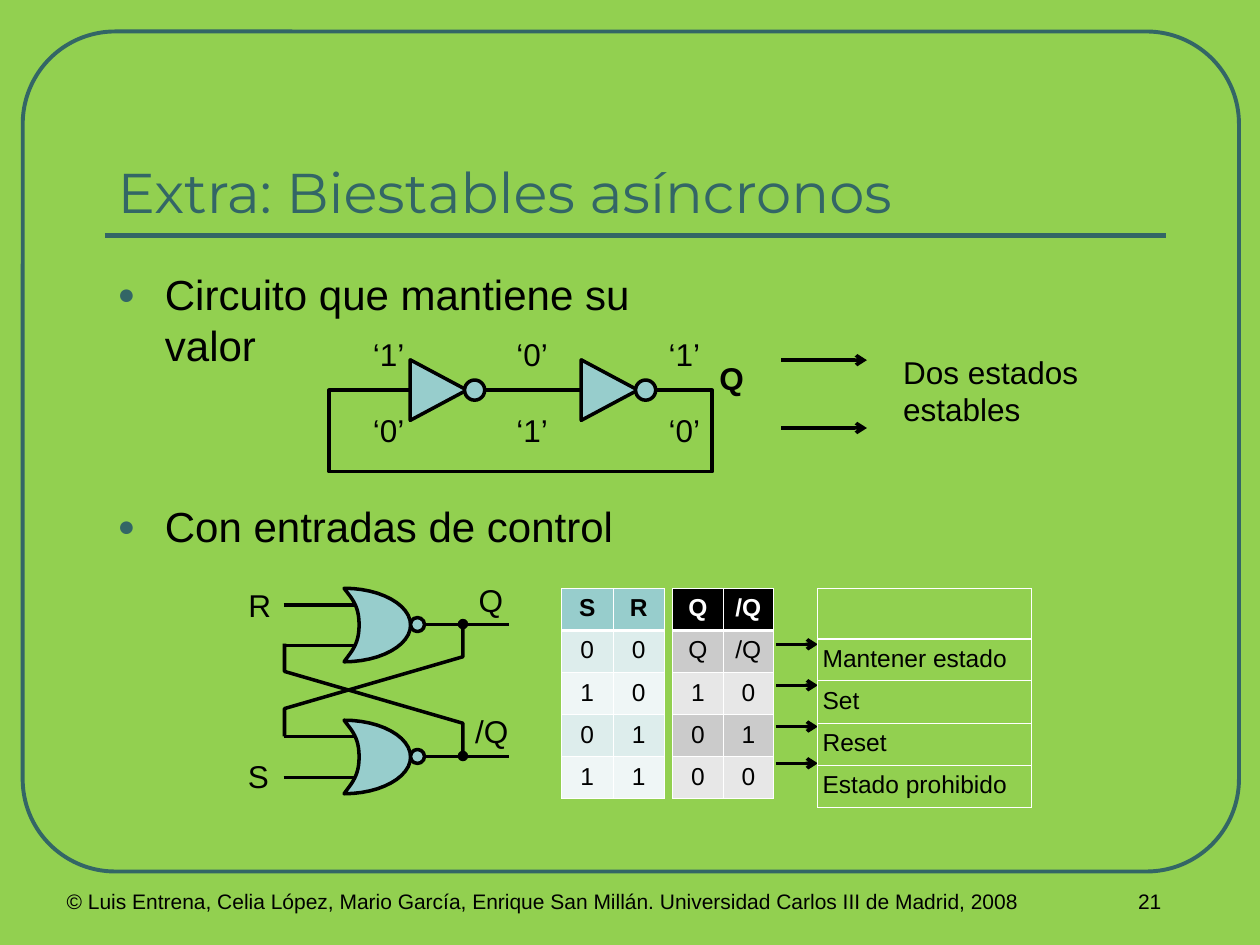
import lxml.etree
import pptx
import pptx.dml.color
import pptx.enum.shapes
import pptx.enum.text
import pptx.oxml.ns
import pptx.util

Pt = pptx.util.Pt
qn = pptx.oxml.ns.qn
ALIGN = pptx.enum.text.PP_ALIGN
SHAPE = pptx.enum.shapes.MSO_SHAPE

COLORS = {
    "back": "92D050", "teal": "336666", "gate": "97CDCC", "ink": "000000",
    "white": "FFFFFF", "input_dark": "DDEDEC", "input_light": "EFF6F6",
    "output_dark": "CBCBCB", "output_light": "E7E7E7",
}


def rgb(name):
    return pptx.dml.color.RGBColor.from_string(COLORS[name])


def add_xml(parent, tag, **attributes):
    return lxml.etree.SubElement(parent, qn(tag), attributes)


def format_spans(para, size, color="ink", bold=False, font="Arial"):
    for span in para.runs:
        span.font.name = font
        span.font.size = Pt(size)
        span.font.bold = bold
        span.font.color.rgb = rgb(color)


def add_label(slide, box, text, size=18, align=ALIGN.LEFT, bold=False, wrap=False):
    frame = slide.shapes.add_textbox(*map(Pt, box)).text_frame
    frame.word_wrap = wrap
    frame.text = text
    for para in frame.paragraphs:
        para.alignment = align
        format_spans(para, size, bold=bold)
    return frame


def style_outline(shape, fill=None, line="ink", width=2):
    shape.shadow.inherit = False
    if fill:
        shape.fill.solid()
        shape.fill.fore_color.rgb = rgb(fill)
    else:
        shape.fill.background()
    shape.line.color.rgb = rgb(line)
    shape.line.width = Pt(width)


def add_outline(slide, kind, box, fill=None, line="ink", width=2):
    shape = slide.shapes.add_shape(kind, *map(Pt, box))
    style_outline(shape, fill, line, width)
    return shape


def add_path(slide, points, fill=None, closed=False):
    (start_x, start_y), *rest = [(Pt(x), Pt(y)) for x, y in points]
    builder = slide.shapes.build_freeform(start_x, start_y)
    builder.add_line_segments(rest, close=closed)
    shape = builder.convert_to_shape()
    style_outline(shape, fill)
    return shape


def add_wire(slide, x1, y1, x2, y2, color="ink", width=2, arrow=False):
    wire = slide.shapes.add_connector(
        pptx.enum.shapes.MSO_CONNECTOR.STRAIGHT, Pt(x1), Pt(y1), Pt(x2), Pt(y2))
    wire.line.color.rgb = rgb(color)
    wire.line.width = Pt(width)
    if arrow:
        add_xml(wire.line._get_or_add_ln(), "a:tailEnd", type="arrow")
    add_xml(wire._element.spPr, "a:effectLst")


def place_placeholder(shape, box):
    shape.left, shape.top, shape.width, shape.height = map(Pt, box)
    shape.text_frame.auto_size = pptx.enum.text.MSO_AUTO_SIZE.NONE
    return shape.text_frame


def add_frame(slide):
    border = add_outline(slide, SHAPE.ROUNDED_RECTANGLE, (13, 18, 695, 480),
                         line="teal", width=2.25)
    border.adjustments[0] = 0.11
    add_wire(slide, 60, 134.6, 666, 134.6, "teal", 3)
    add_label(slide, (31, 504, 612, 36),
              "© Luis Entrena, Celia López, Mario García, Enrique San Millán. "
              "Universidad Carlos III de Madrid, 2008", 12, wrap=True)
    add_label(slide, (594, 504, 126, 36), "21", 12, ALIGN.CENTER, wrap=True)


def fill_title(slide, box):
    frame = place_placeholder(slide.shapes.title, box)
    frame.text = "Extra: Biestables asíncronos"
    frame.vertical_anchor = pptx.enum.text.MSO_ANCHOR.BOTTOM
    frame.paragraphs[0].alignment = ALIGN.LEFT
    format_spans(frame.paragraphs[0], 32, "teal", font="Montserrat")


def fill_body(slide, box):
    frame = place_placeholder(slide.placeholders[1], box)
    frame.text = "Circuito que mantiene su valor\nCon entradas de control"
    for para, gap in zip(frame.paragraphs, (6, 75)):
        para.space_before = Pt(gap)
        para.line_spacing = 1.0
        format_spans(para, 24)
        settings = para._p.get_or_add_pPr()
        settings.set("marL", str(Pt(27)))
        settings.set("indent", str(Pt(-27)))
        add_xml(add_xml(settings, "a:buClr"), "a:srgbClr", val=COLORS["teal"])
        add_xml(settings, "a:buSzPct", val="70000")
        add_xml(settings, "a:buFont", typeface="Arial")
        add_xml(settings, "a:buChar", char="●")


def draw_inverter_loop(slide, left, top):
    # State labels, spread with tab stops
    frame = add_label(slide, (left + 18, top - 35, 203, 72),
                      "‘1’\t‘0’\t‘1’\n‘0’\t‘1’\t‘0’")
    frame.paragraphs[1].space_before = Pt(22)
    for para in frame.paragraphs:
        stops = add_xml(para._p.get_or_add_pPr(), "a:tabLst")
        for position in (82, 169):
            add_xml(stops, "a:tab", pos=str(Pt(position)), algn="l")
    # Feedback loop and two inverters
    add_outline(slide, SHAPE.RECTANGLE, (left, top, 219, 46.6))
    for x in (left + 45.3, left + 143):
        triangle = add_outline(slide, SHAPE.ISOSCELES_TRIANGLE,
                               (x, top - 16.3, 34.6, 32.4), "gate")
        triangle.rotation = 90
        add_outline(slide, SHAPE.OVAL, (x + 32.2, top - 5.8, 11.5, 11.5), "gate")
    add_label(slide, (left + 216, top - 21.5, 28, 29), "Q", align=ALIGN.RIGHT, bold=True)
    # Result
    for y in (top - 17.2, top + 21.6):
        add_wire(slide, left + 258.4, y, left + 307.4, y, arrow=True)
    add_label(slide, (left + 321, top - 25, 114.5, 50), "Dos estados\vestables")


def curve_points(start, first, second, end, steps=12):
    for step in range(1, steps + 1):
        t = step / steps
        yield tuple((1 - t) ** 3 * a + 3 * (1 - t) ** 2 * t * b
                    + 3 * (1 - t) * t ** 2 * c + t ** 3 * d
                    for a, b, c, d in zip(start, first, second, end))


def draw_nor_gate(slide, left, top):
    for y in (top + 9.4, top + 32.6):
        add_wire(slide, left - 34.6, y, left + 8.6, y)
    curves = [
        ((0, 0), (4.3, 5.8), (8.6, 9.6), (8.6, 21)),
        ((8.6, 21), (8.6, 32), (4.3, 36), (0, 42)),
        ((0, 42), (21, 42), (38, 32.5), (38, 21)),
        ((38, 21), (38, 9.5), (21, 0), (0, 0)),
    ]
    outline = [(0, 0)] + [point for curve in curves for point in curve_points(*curve)]
    add_path(slide, [(left + x, top + y) for x, y in outline], "gate", closed=True)
    add_outline(slide, SHAPE.OVAL, (left + 38, top + 16.7, 8, 8), "gate")
    add_wire(slide, left + 46.5, top + 20.7, left + 94.3, top + 20.7)


def draw_latch(slide, left, top):
    pitch = 75.4
    for row in range(2):
        draw_nor_gate(slide, left, top + row * pitch)
    # Crossed feedback
    upper, lower = top + 20.4, top + 20.4 + pitch
    for start, turn, end in ((upper, 18.7, lower - 11.2), (lower, -18.7, upper + 11.2)):
        bend = 15.9 if turn > 0 else -15.9
        wire = add_path(slide, [(left + 68, start), (left + 68, start + turn),
                                (left - 34, end - bend), (left - 34, end)])
        add_xml(wire.line._get_or_add_ln(), "a:headEnd", type="oval")
    # Signal names
    for text, x, y, width in (("R", -62, -5, 27.4), ("S", -62, 93, 26),
                              ("Q", 69.8, -8, 28), ("/Q", 61, 67, 40)):
        add_label(slide, (left + x, top + y, width, 29), text, align=ALIGN.RIGHT)


def add_grid(slide, left, top, column_width, rows, fills=None,
             header_color="ink", align=ALIGN.CENTER):
    count = len(rows[0])
    table = slide.shapes.add_table(
        len(rows), count, Pt(left), Pt(top), Pt(column_width * count), Pt(112.5)).table
    table.first_row = table.horz_banding = False
    for column in table.columns:
        column.width = Pt(column_width)
    for r, row in enumerate(rows):
        for c, text in enumerate(row):
            cell = table.cell(r, c)
            cell.margin_left = cell.margin_right = Pt(3)
            if text:
                cell.text = text
                para = cell.text_frame.paragraphs[0]
                para.alignment = align
                format_spans(para, 14, "ink" if r else header_color, bold=r == 0)
            if fills:
                cell.fill.solid()
                cell.fill.fore_color.rgb = rgb(fills[0] if r == 0 else fills[2 - r % 2])
            else:
                cell.fill.background()
            settings = cell._tc.get_or_add_tcPr()
            widths = (0.45, 0.45, 1.47 if r == 1 else 0.45, 1.47 if r == 0 else 0.45)
            for index, (side, width) in enumerate(zip("LRTB", widths)):
                border = add_xml(settings, "a:ln" + side, w=str(Pt(width)))
                add_xml(add_xml(border, "a:solidFill"), "a:srgbClr", val=COLORS["white"])
                settings.insert(index, border)


def draw_truth_table(slide, left, top):
    add_grid(slide, left, top, 29.4, ["SR", "00", "10", "01", "11"],
             ("gate", "input_dark", "input_light"))
    add_grid(slide, left + 63.5, top, 28.8,
             [("Q", "/Q"), ("Q", "/Q"), "10", "01", "00"],
             ("ink", "output_dark", "output_light"), "white")
    for y in (32, 55.4, 79, 100):
        add_wire(slide, left + 122.5, top + y, left + 146.5, top + y, arrow=True)
    add_grid(slide, left + 146.2, top, 122.4,
             [("",), ("Mantener estado",), ("Set",), ("Reset",), ("Estado prohibido",)],
             align=ALIGN.LEFT)


def main():
    deck = pptx.Presentation()
    deck.slide_width, deck.slide_height = Pt(720), Pt(540)
    slide = deck.slides.add_slide(deck.slide_layouts[1])
    slide.background.fill.solid()
    slide.background.fill.fore_color.rgb = rgb("back")
    add_frame(slide)
    fill_title(slide, (60, 42, 606, 90))
    fill_body(slide, (60, 150, 342, 173.5))
    draw_inverter_loop(slide, 188, 223)
    draw_latch(slide, 196.6, 336.2)
    draw_truth_table(slide, 320.9, 336.2)
    deck.save("out.pptx")


if __name__ == "__main__":
    main()
